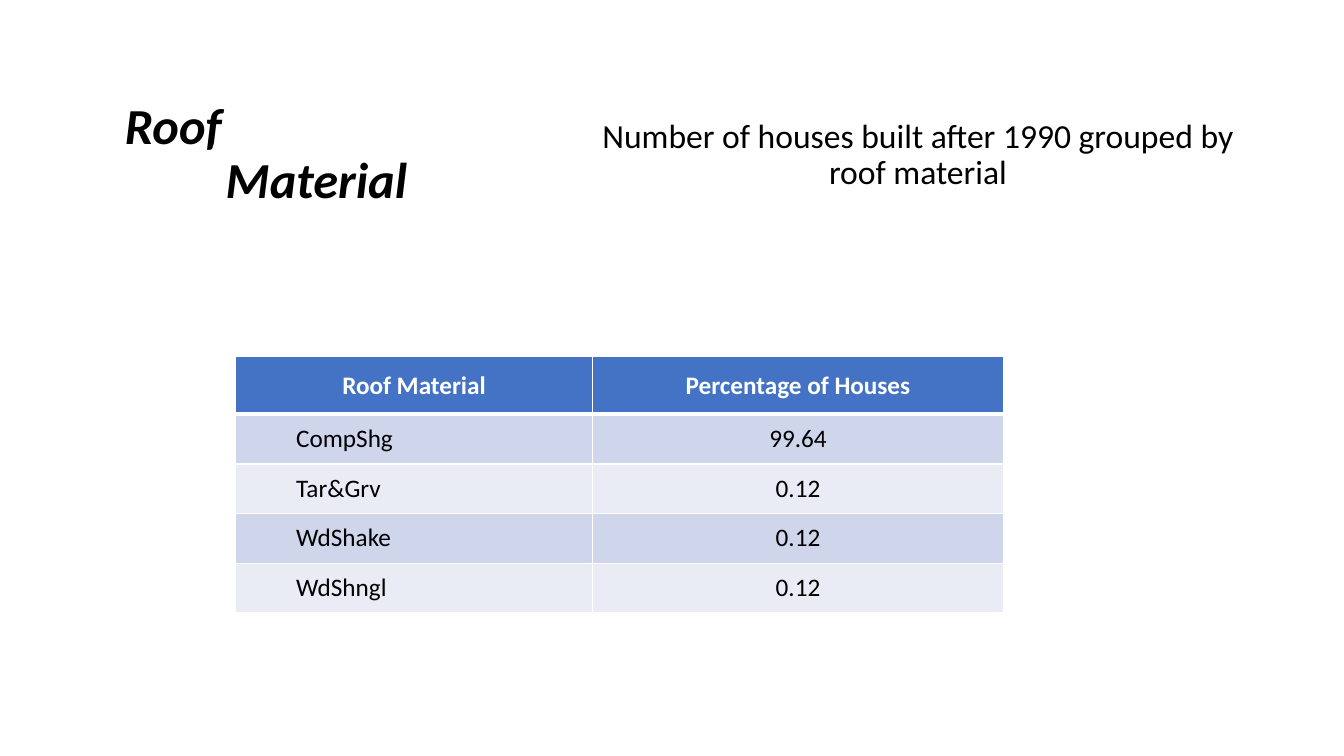
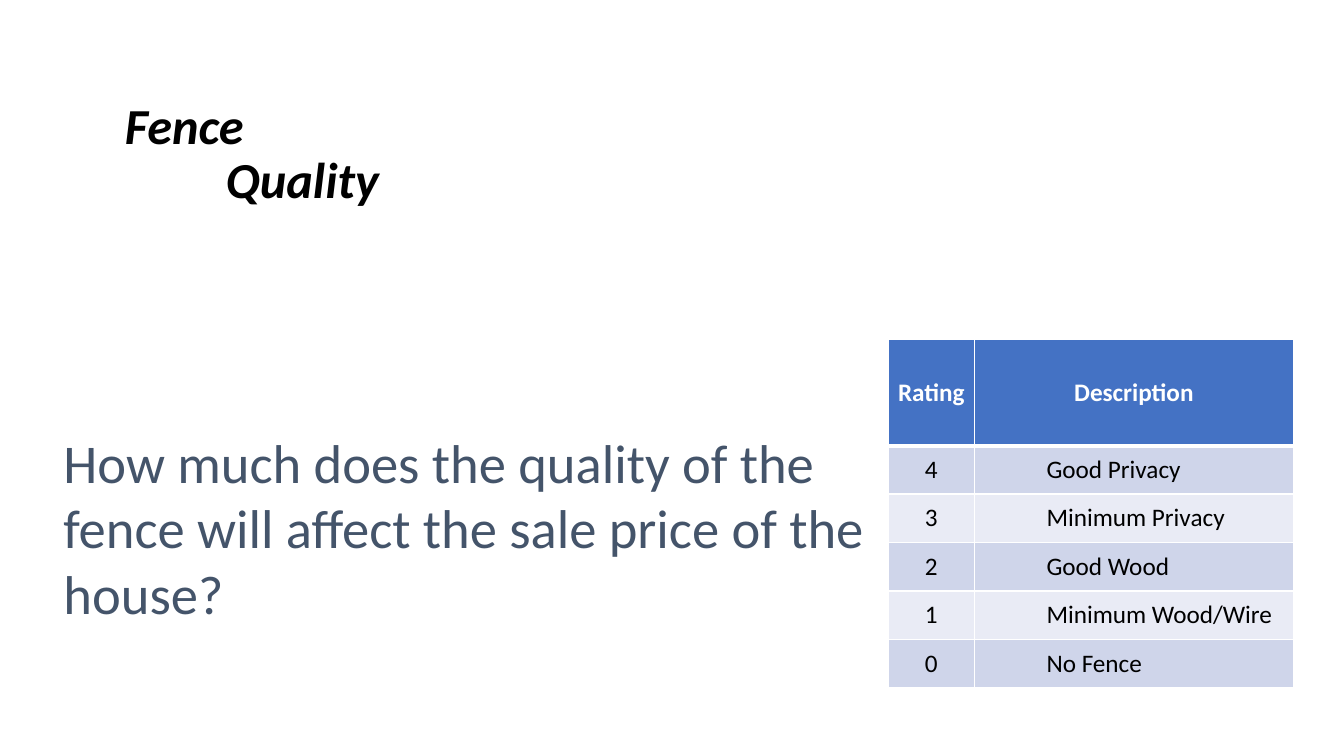
from pptx import Presentation
from pptx.dml.color import RGBColor
from pptx.enum.text import MSO_ANCHOR as Anchor, PP_ALIGN as Align
from pptx.oxml.ns import qn
from pptx.util import Cm, Pt
from lxml.etree import SubElement

FONT = "Calibri"
BLACK, WHITE, SLATE = "000000", "FFFFFF", "44546A"
HEADER_FILL = "4472C4"
BAND_FILLS = ["CFD5EA", "E9EBF5"]

TITLE = {"box": (2.9, 1.78, 10.03, 4.27), "hanging": 2.54,
         "font": {"size": Pt(36), "bold": True, "italic": True},
         "paragraph": {"line_spacing": 0.9}}
SUBTITLE = {"box": (14.73, 1.78, 16.81, 4.27), "font": {"size": Pt(24)},
            "paragraph": {"line_spacing": 0.9, "alignment": Align.CENTER}}
QUESTION = {"box": (1.35, 8.31, 20.93, 9.93), "font": {"size": Pt(39)},
            "color": SLATE}

SLIDES = [
    {
        "title": "Roof\vMaterial",
        "texts": [("Number of houses built after 1990 grouped by roof material", SUBTITLE)],
        "table": {
            "corner": (5.94, 8.99), "columns": (8.99, 10.36),
            "header_height": 1.45, "row_height": 1.25,
            "indents": {0: 1.27},
            "rows": [
                ("Roof Material", "Percentage of Houses"),
                ("CompShg", "99.64"),
                ("Tar&Grv", "0.12"),
                ("WdShake", "0.12"),
                ("WdShngl", "0.12"),
            ],
        },
    },
    {
        "title": "Fence\vQuality",
        "texts": [("How much does the quality of the fence will affect "
                   "the sale price of the house?", QUESTION)],
        "table": {
            "corner": (22.38, 8.56), "columns": (2.18, 8.03),
            "header_height": 2.67, "row_height": 1.22,
            "indents": {1: 1.56},
            "rows": [
                ("Rating", "Description"),
                ("4", "Good Privacy"),
                ("3", "Minimum Privacy"),
                ("2", "Good Wood"),
                ("1", "Minimum Wood/Wire"),
                ("0", "No Fence"),
            ],
        },
    },
]


def rgb(value):
    return RGBColor.from_string(value)


def apply(target, values):
    for name, value in values.items():
        setattr(target, name, value)


def write(paragraph, text, font, color):
    paragraph.text = text
    for run in paragraph.runs:
        apply(run.font, {"name": FONT, **font})
        run.font.color.rgb = rgb(color)


def indent(paragraph, left, first=0):
    properties = paragraph._p.get_or_add_pPr()
    properties.set("marL", str(Cm(left)))
    properties.set("indent", str(Cm(first)))


def add_text(slide, text, style):
    frame = slide.shapes.add_textbox(*map(Cm, style["box"])).text_frame
    apply(frame, {"word_wrap": True, "vertical_anchor": Anchor.MIDDLE})
    paragraph = frame.paragraphs[0]
    write(paragraph, text, style["font"], style.get("color", BLACK))
    apply(paragraph, style.get("paragraph", {}))
    if "hanging" in style:
        indent(paragraph, style["hanging"], -style["hanging"])


def add_borders(cell, row):
    widths = {"a:lnL": 1, "a:lnR": 1,
              "a:lnT": 3 if row == 1 else 1, "a:lnB": 3 if row == 0 else 1}
    properties = cell._tc.get_or_add_tcPr()
    for tag, width in widths.items():
        line = SubElement(properties, qn(tag), w=str(Pt(width)))
        SubElement(SubElement(line, qn("a:solidFill")), qn("a:srgbClr"), val=WHITE)


def format_cell(cell, text, row, left):
    header = row == 0
    apply(cell, {"vertical_anchor": Anchor.MIDDLE})
    add_borders(cell, row)
    cell.fill.solid()
    cell.fill.fore_color.rgb = rgb(HEADER_FILL if header else BAND_FILLS[(row - 1) % 2])
    paragraph = cell.text_frame.paragraphs[0]
    write(paragraph, text, {"size": Pt(18), "bold": header}, WHITE if header else BLACK)
    if header:
        apply(cell, {"margin_left": Cm(0.15), "margin_right": Cm(0.15)})
    if header or left is None:
        paragraph.alignment = Align.CENTER
    else:
        indent(paragraph, left)


def add_table(slide, content):
    rows, columns = content["rows"], content["columns"]
    heights = [content["header_height"]] + [content["row_height"]] * (len(rows) - 1)
    table = slide.shapes.add_table(
        len(rows), len(columns), *map(Cm, content["corner"]),
        Cm(sum(columns)), Cm(sum(heights))).table
    for column, width in zip(table.columns, columns):
        column.width = Cm(width)
    for row, (texts, height) in enumerate(zip(rows, heights)):
        table.rows[row].height = Cm(height)
        for column, text in enumerate(texts):
            format_cell(table.cell(row, column), text, row, content["indents"].get(column))


def main():
    deck = Presentation()
    apply(deck, {"slide_width": Cm(33.87), "slide_height": Cm(19.05)})
    for content in SLIDES:
        slide = deck.slides.add_slide(deck.slide_layouts[6])
        add_text(slide, content["title"], TITLE)
        for text, style in content["texts"]:
            add_text(slide, text, style)
        add_table(slide, content["table"])
    deck.save("out.pptx")


if __name__ == "__main__":
    main()
